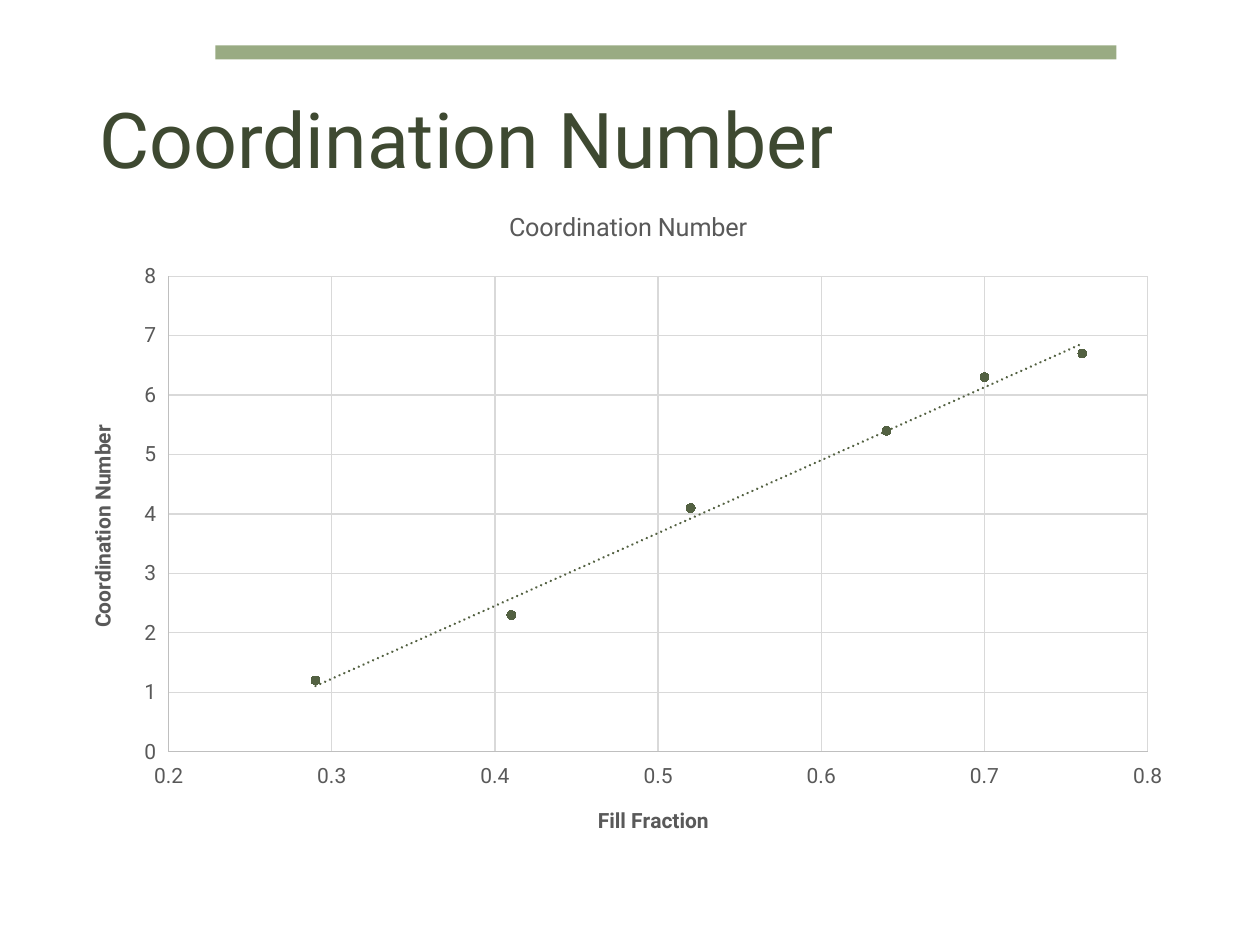
from lxml.etree import fromstring
from pptx import Presentation
from pptx.chart.data import XyChartData
from pptx.dml.color import RGBColor
from pptx.enum.chart import XL_CHART_TYPE, XL_MARKER_STYLE, XL_TICK_LABEL_POSITION, XL_TICK_MARK
from pptx.enum.shapes import MSO_SHAPE
from pptx.enum.text import MSO_ANCHOR
from pptx.oxml.ns import nsdecls, qn
from pptx.util import Inches, Pt

FILL_FRACTIONS = [0.29, 0.41, 0.52, 0.64, 0.7, 0.76]
COORDINATION_NUMBERS = [1.2, 2.3, 4.1, 5.4, 6.3, 6.7]
PLOT_SHARES = {"x": 0.088, "y": 0.136, "w": 0.878, "h": 0.711}
AXIS_FORMAT = {
    "has_major_gridlines": True,
    "major_tick_mark": XL_TICK_MARK.NONE,
    "minor_tick_mark": XL_TICK_MARK.NONE,
    "tick_label_position": XL_TICK_LABEL_POSITION.LOW,
}


def color(value):
    """Turn a hex string into a colour."""
    return RGBColor.from_string(value)


def apply(target, values):
    """Set each named attribute on the target."""
    for name, value in values.items():
        setattr(target, name, value)


class SlideBuilder:
    """Hold the style and the current slide."""

    font = "Roboto"
    palette = {"bar": "99AB83", "title": "3E4931", "text": "595959",
               "data": "536142", "axis": "BFBFBF", "grid": "D9D9D9"}

    def __init__(self, presentation):
        """Add a blank slide to the presentation."""
        self.size = (presentation.slide_width, presentation.slide_height) * 2
        self.slide = presentation.slides.add_slide(presentation.slide_layouts[6])

    def place(self, *shares):
        """Turn left, top, width and height shares into lengths."""
        return [round(share * length) for share, length in zip(shares, self.size)]

    def style_font(self, font, size, role, bold=False):
        """Give a font the deck's typeface and a palette colour."""
        apply(font, {"name": self.font, "size": Pt(size), "bold": bold})
        font.color.rgb = color(self.palette[role])

    def style_line(self, line, role):
        """Draw a thin line in a palette colour."""
        line.width = Pt(0.75)
        line.color.rgb = color(self.palette[role])

    def bar(self, *shares):
        """Add a plain filled rectangle."""
        shape = self.slide.shapes.add_shape(MSO_SHAPE.RECTANGLE, *self.place(*shares))
        shape.shadow.inherit = False
        shape.fill.solid()
        shape.fill.fore_color.rgb = color(self.palette["bar"])
        shape.line.fill.background()

    def title(self, text, *shares):
        """Add the slide title."""
        frame = self.slide.shapes.add_textbox(*self.place(*shares)).text_frame
        apply(frame, {"word_wrap": True, "vertical_anchor": MSO_ANCHOR.MIDDLE})
        paragraph = frame.paragraphs[0]
        apply(paragraph, {"text": text, "line_spacing": 0.9})
        self.style_font(paragraph.runs[0].font, 44, "title")

    def chart_title(self, owner, text, size, bold=False):
        """Write the title of a chart or an axis."""
        paragraph = owner.text_frame.paragraphs[0]
        paragraph.text = text
        self.style_font(paragraph.runs[0].font, size, "text", bold)

    def axis(self, axis, text, low, high, step):
        """Format one axis with its scale, title and gridlines."""
        apply(axis, AXIS_FORMAT)
        apply(axis, {"minimum_scale": low, "maximum_scale": high, "major_unit": step})
        apply(axis.tick_labels, {"number_format": "General", "number_format_is_linked": False})
        self.style_font(axis.tick_labels.font, 12, "text")
        self.style_line(axis.format.line, "axis")
        self.style_line(axis.major_gridlines.format.line, "grid")
        self.chart_title(axis.axis_title, text, 12, True)

    def trend_line(self, series):
        """Add a dotted linear trend to a series."""
        trend = fromstring(
            f'<c:trendline {nsdecls("c", "a")}><c:spPr><a:ln w="19050" cap="rnd"><a:solidFill>'
            f'<a:srgbClr val="{self.palette["data"]}"/></a:solidFill><a:prstDash val="sysDot"/>'
            '</a:ln></c:spPr><c:trendlineType val="linear"/><c:dispRSqr val="0"/>'
            '<c:dispEq val="0"/></c:trendline>')
        series._element.find(qn("c:xVal")).addprevious(trend)

    def plot_layout(self, chart, shares):
        """Fix the inner plot area by shares of the chart."""
        area = chart._chartSpace.chart.plotArea
        for layout in area.findall(qn("c:layout")):
            area.remove(layout)
        modes = "".join(f'<c:{name}Mode val="edge"/>' for name in "xy")
        values = "".join(f'<c:{name} val="{share}"/>' for name, share in shares.items())
        area.insert(0, fromstring(
            f'<c:layout {nsdecls("c")}><c:manualLayout><c:layoutTarget val="inner"/>'
            f'{modes}{values}</c:manualLayout></c:layout>'))

    def scatter(self, name, points, horizontal, vertical, *shares):
        """Add a scatter chart with a trend line."""
        data = XyChartData()
        series_data = data.add_series(name)
        for x, y in points:
            series_data.add_data_point(x, y)
        chart = self.slide.shapes.add_chart(
            XL_CHART_TYPE.XY_SCATTER, *self.place(*shares), data).chart
        apply(chart, {"has_legend": False, "has_title": True})
        self.style_font(chart.font, 12, "text")
        self.chart_title(chart.chart_title, name, 14.4)
        chart.plots[0].vary_by_categories = False
        self.axis(chart.category_axis, *horizontal)
        self.axis(chart.value_axis, *vertical)
        series = chart.plots[0].series[0]
        series.format.line.fill.background()
        apply(series.marker, {"style": XL_MARKER_STYLE.CIRCLE, "size": 5})
        series.marker.format.fill.solid()
        series.marker.format.fill.fore_color.rgb = color(self.palette["data"])
        self.style_line(series.marker.format.line, "data")
        series.smooth = False
        self.trend_line(series)
        self.plot_layout(chart, PLOT_SHARES)


def main():
    """Build and save the slide."""
    presentation = Presentation()
    apply(presentation, {"slide_width": Inches(10), "slide_height": Inches(7.5)})
    builder = SlideBuilder(presentation)
    topic = "Coordination Number"
    builder.bar(0.171, 0.048, 0.715, 0.015)
    builder.title(topic, 0.069, 0.055, 0.862, 0.193)
    builder.scatter(topic, zip(FILL_FRACTIONS, COORDINATION_NUMBERS),
                    ("Fill Fraction", 0.2, 0.8, 0.1), (topic, 0, 8, 1),
                    0.056, 0.196, 0.885, 0.708)
    presentation.save("out.pptx")


if __name__ == "__main__":
    main()
